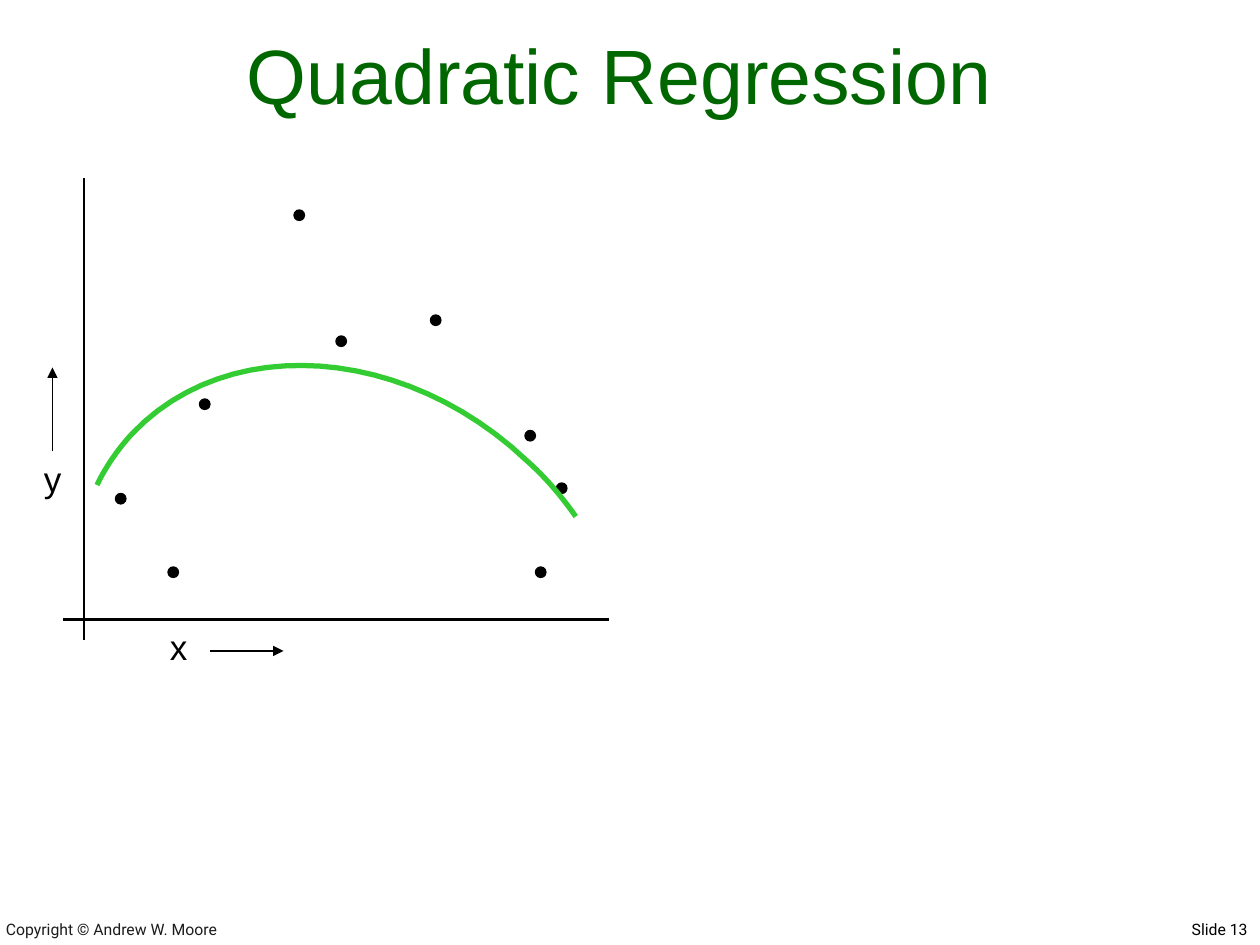
import pptx
import pptx.dml.color
import pptx.enum.shapes
import pptx.enum.text
import pptx.oxml
import pptx.oxml.ns
import pptx.util

Cm, Pt = pptx.util.Cm, pptx.util.Pt
ALIGN = pptx.enum.text.PP_ALIGN
ANCHOR = pptx.enum.text.MSO_ANCHOR

CELL = 2.54 / 12  # the plot grid has twelve cells to the inch
DOT_SIZE = 1
# Data points as (column, row) of each dot's top left corner
DATA_POINTS = [(8, 30), (13, 37), (16, 21), (25, 3), (29, 15),
               (38, 13), (48, 37), (50, 29), (47, 24)]
# Joined cubic Bézier pieces, in grid cells
FIT_CURVE = [(51.84, 32.2), (50.5, 30.3), (49, 28.5), (47.2, 26.9),
             (35.6, 15.9), (18.7, 14.7), (9.6, 24.3),
             (8.3, 25.7), (7.1, 27.4), (6.24, 29.2)]


def color(value):
    return pptx.dml.color.RGBColor.from_string(value)


def write_text(shape, text, font_name, size, text_color, align, anchor):
    frame = shape.text_frame
    frame.word_wrap = True
    frame.auto_size = pptx.enum.text.MSO_AUTO_SIZE.NONE
    frame.vertical_anchor = anchor
    paragraph = frame.paragraphs[0]
    paragraph.text = text
    paragraph.alignment = align
    paragraph.font.name = font_name
    paragraph.font.size = Pt(size)
    paragraph.font.color.rgb = color(text_color)


def add_label(slide, box, text, font_name, size, text_color="000000",
              align=ALIGN.LEFT, anchor=ANCHOR.TOP):
    shape = slide.shapes.add_textbox(*map(Cm, box))
    write_text(shape, text, font_name, size, text_color, align, anchor)


def add_line(slide, start, end, width, arrow=False):
    line = slide.shapes.add_connector(
        pptx.enum.shapes.MSO_CONNECTOR.STRAIGHT, *start, *end)
    line.line.color.rgb = color("000000")
    line.line.width = Pt(width)
    if arrow:
        head = pptx.oxml.parse_xml(
            f'<a:tailEnd {pptx.oxml.ns.nsdecls("a")} type="triangle"/>')
        line.line._get_or_add_ln().append(head)
    properties = line._element.spPr
    properties.append(properties.makeelement(pptx.oxml.ns.qn("a:effectLst")))


def bezier_points(controls, steps=24):
    """Sample a chain of cubic Bézier pieces that share their end points."""
    points = [controls[0]]
    for first in range(0, len(controls) - 1, 3):
        piece = controls[first:first + 4]
        for step in range(1, steps + 1):
            t = step / steps
            weights = ((1 - t) ** 3, 3 * t * (1 - t) ** 2,
                       3 * t ** 2 * (1 - t), t ** 3)
            points.append(tuple(
                sum(w * point[axis] for w, point in zip(weights, piece))
                for axis in (0, 1)))
    return points


def add_title(slide, box):
    title = slide.shapes.title
    title.left, title.top, title.width, title.height = map(Cm, box)
    write_text(title, "Quadratic Regression", "Arial", 44, "006600",
               ALIGN.CENTER, ANCHOR.BOTTOM)


def add_plot(slide, left, top):
    def place(column, row):
        return Cm(left + column * CELL), Cm(top + row * CELL)

    add_line(slide, place(5, 0), place(5, 44), 1.5)
    add_line(slide, place(3, 42), place(55, 42), 1.5)

    for point in DATA_POINTS:
        dot = slide.shapes.add_shape(
            pptx.enum.shapes.MSO_SHAPE.OVAL, *place(*point),
            Cm(DOT_SIZE * CELL), Cm(DOT_SIZE * CELL))
        dot.shadow.inherit = False
        dot.fill.solid()
        dot.fill.fore_color.rgb = color("000000")
        dot.line.color.rgb = color("000000")
        dot.line.width = Pt(0.75)

    for text, corner, start, end in (("x", (12, 42), (17, 45), (24, 45)),
                                     ("y", (0, 26), (2, 26), (2, 18))):
        box = (left + corner[0] * CELL, top + corner[1] * CELL, 0.85, 1.11)
        add_label(slide, box, text, "Arial", 20)
        add_line(slide, place(*start), place(*end), 0.75, arrow=True)

    points = [place(*point) for point in bezier_points(FIT_CURVE)]
    builder = slide.shapes.build_freeform(*points[0])
    builder.add_line_segments(points[1:], close=False)
    curve = builder.convert_to_shape()
    curve.shadow.inherit = False
    curve.fill.background()
    curve.line.color.rgb = color("33CC33")
    curve.line.width = Pt(3)


def add_footer(slide, top, height):
    add_label(slide, (-0.13, top, 14.1, height), "Copyright © Andrew W. Moore",
              "Roboto", 9, "1C1C1C", anchor=ANCHOR.BOTTOM)
    add_label(slide, (15.44, top + 0.08, 9.96, height), "Slide 13",
              "Roboto", 9, align=ALIGN.RIGHT)


def main():
    presentation = pptx.Presentation()
    presentation.slide_width = Cm(25.4)
    presentation.slide_height = Cm(19.05)
    slide = presentation.slides.add_slide(presentation.slide_layouts[5])
    add_footer(slide, 18.34, 0.7)
    add_title(slide, (0.64, 0.43, 23.7, 2.11))
    add_plot(slide, 3 * CELL, 17 * CELL)
    presentation.save("out.pptx")


if __name__ == "__main__":
    main()
